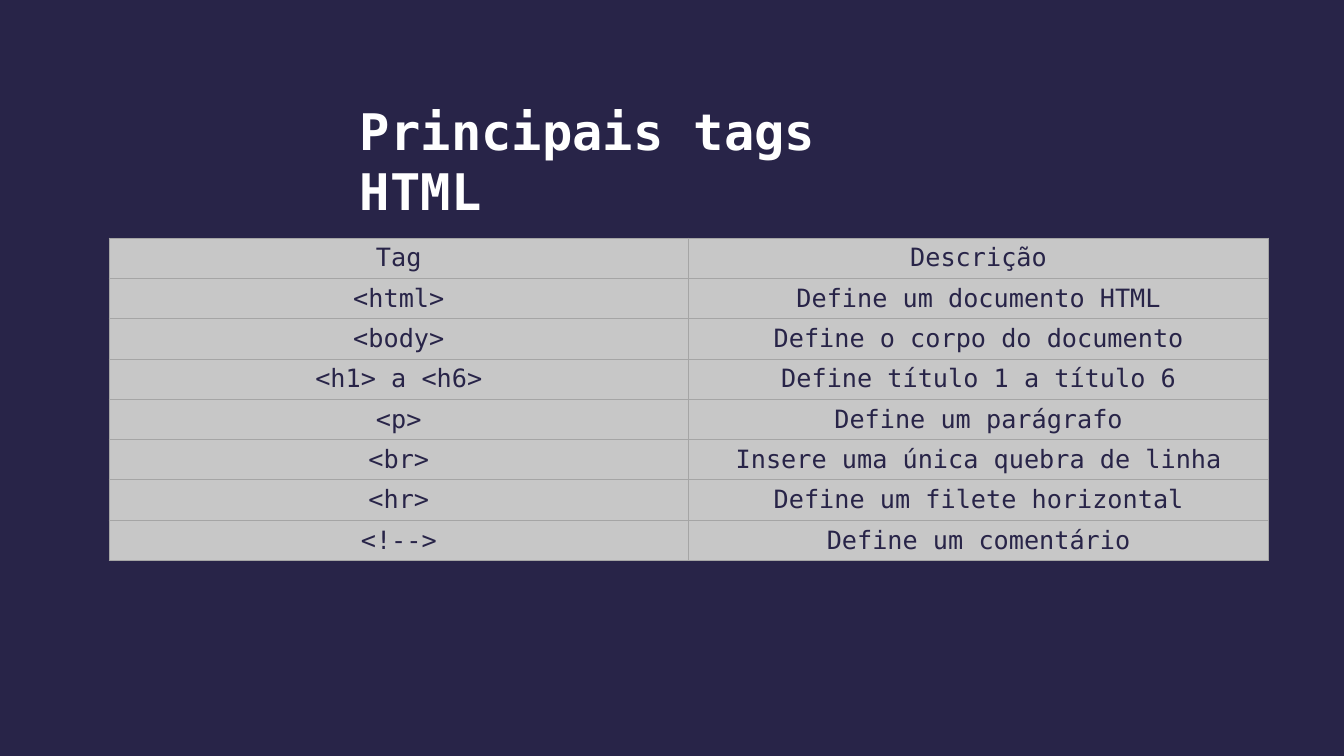
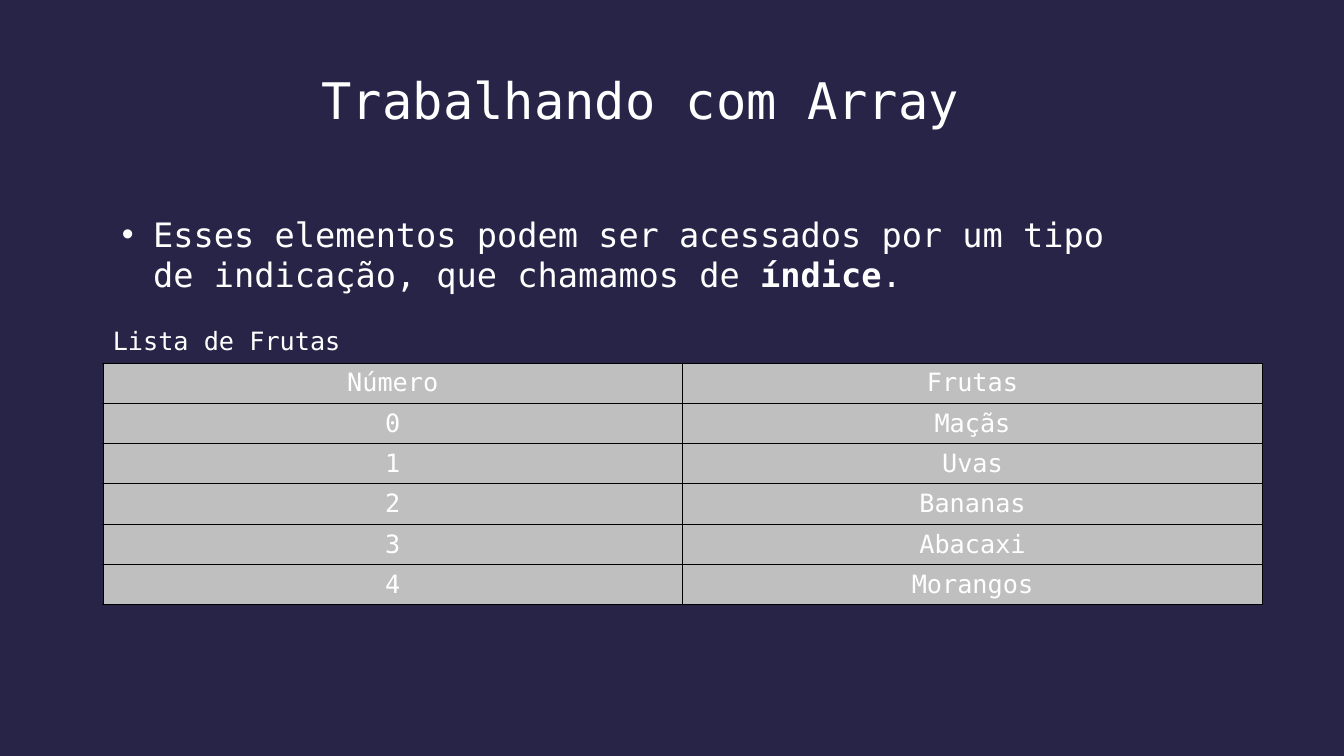
from lxml import etree
from pptx import Presentation
from pptx import util as u
from pptx.dml.color import RGBColor
from pptx.enum import text
from pptx.oxml.ns import qn

PX = 9144  # EMU per px, 100 px to the inch
FONT = "DejaVu Sans Mono"
NAVY = RGBColor(0x28, 0x24, 0x48)
WHITE = RGBColor(0xFF, 0xFF, 0xFF)
LIGHT = RGBColor(0xC7, 0xC7, 0xC7)
SILVER = RGBColor(0xBF, 0xBF, 0xBF)
GRAY = RGBColor(0xA5, 0xA5, 0xA5)
BLACK = RGBColor(0x00, 0x00, 0x00)
COL_W, ROW_H = 575, 40


def write(tf, runs, size, color=WHITE, align=text.PP_ALIGN.LEFT,
          anchor=text.MSO_ANCHOR.TOP):
    """Fill one paragraph with (text, bold) runs."""
    tf.word_wrap = True
    tf.auto_size = text.MSO_AUTO_SIZE.NONE
    tf.vertical_anchor = anchor
    p = tf.paragraphs[0]
    p.alignment = align
    p.space_before = u.Pt(0)
    for words, bold in runs:
        r = p.add_run()
        r.text = words
        r.font.name = FONT
        r.font.size = u.Pt(size)
        r.font.bold = bold
        r.font.color.rgb = color
    return p


def place(sp, *box):
    sp.left, sp.top, sp.width, sp.height = (n * PX for n in box)
    return sp.text_frame


prs = Presentation()
prs.slide_width, prs.slide_height = 1333 * PX, 750 * PX

# Shared background
bg = prs.slide_master.background.fill
bg.solid()
bg.fore_color.rgb = NAVY

# Slides with their titles
titles = [
    (5, "Principais tags HTML", True, (347, 94, 613, 71)),
    (1, "Trabalhando com Array", False, (309, 64, 661, 71)),
]
for layout, title, bold, box in titles:
    s = prs.slides.add_slide(prs.slide_layouts[layout])
    write(place(s.shapes.title, *box), [(title, bold)], 36)
tags, array = prs.slides

# Bulleted text
tf = place(array.placeholders[1], 111, 207, 1036, 131)
p = write(tf, [
    ("Esses elementos podem ser acessados por um tipo de indicação, "
     "que chamamos de ", False),
    ("índice", True),
    (".", False),
], 24)
pPr = p._p.get_or_add_pPr()
pPr.set("marL", str(31 * PX))
pPr.set("indent", str(-31 * PX))
etree.SubElement(pPr, qn("a:buFont"), typeface="Arial")
etree.SubElement(pPr, qn("a:buChar"), char="•")

# Tables
tag_rows = [
    ("Tag", "Descrição"),
    ("<html>", "Define um documento HTML"),
    ("<body>", "Define o corpo do documento"),
    ("<h1> a <h6>", "Define título 1 a título 6"),
    ("<p>", "Define um parágrafo"),
    ("<br>", "Insere uma única quebra de linha"),
    ("<hr>", "Define um filete horizontal"),
    ("<!-->", "Define um comentário"),
]
fruits = ["Maçãs", "Uvas", "Bananas", "Abacaxi", "Morangos"]
fruit_rows = [("Número", "Frutas")]
fruit_rows += [(str(i), fruit) for i, fruit in enumerate(fruits)]

tables = [
    (tags, tag_rows, 108, 236, LIGHT, NAVY, GRAY, 0.5),
    (array, fruit_rows, 102, 360, SILVER, WHITE, BLACK, 0.6),
]
for s, rows, left, top, fill, color, border, weight in tables:
    table = s.shapes.add_table(len(rows), 2, left * PX, top * PX,
                               2 * COL_W * PX, len(rows) * ROW_H * PX).table
    table.first_row = table.horz_banding = False
    for i, row in enumerate(rows):
        for j, words in enumerate(row):
            cell = table.cell(i, j)
            p = cell.text_frame.paragraphs[0]
            p.alignment = text.PP_ALIGN.CENTER
            r = p.add_run()
            r.text = words
            r.font.name = FONT
            r.font.size = u.Pt(18)
            r.font.color.rgb = color
            cell.vertical_anchor = text.MSO_ANCHOR.MIDDLE
            # Borders come before the fill in the cell properties
            tcPr = cell._tc.get_or_add_tcPr()
            for side in ("a:lnL", "a:lnR", "a:lnT", "a:lnB"):
                ln = etree.SubElement(tcPr, qn(side), w=str(u.Pt(weight)))
                solid = etree.SubElement(ln, qn("a:solidFill"))
                etree.SubElement(solid, qn("a:srgbClr"), val=str(border))
            cell.fill.solid()
            cell.fill.fore_color.rgb = fill

# Table label
sp = array.shapes.add_textbox(102 * PX, 318 * PX, 249 * PX, 40 * PX)
write(sp.text_frame, [("Lista de Frutas", False)], 18,
      anchor=text.MSO_ANCHOR.MIDDLE)

prs.save("out.pptx")
